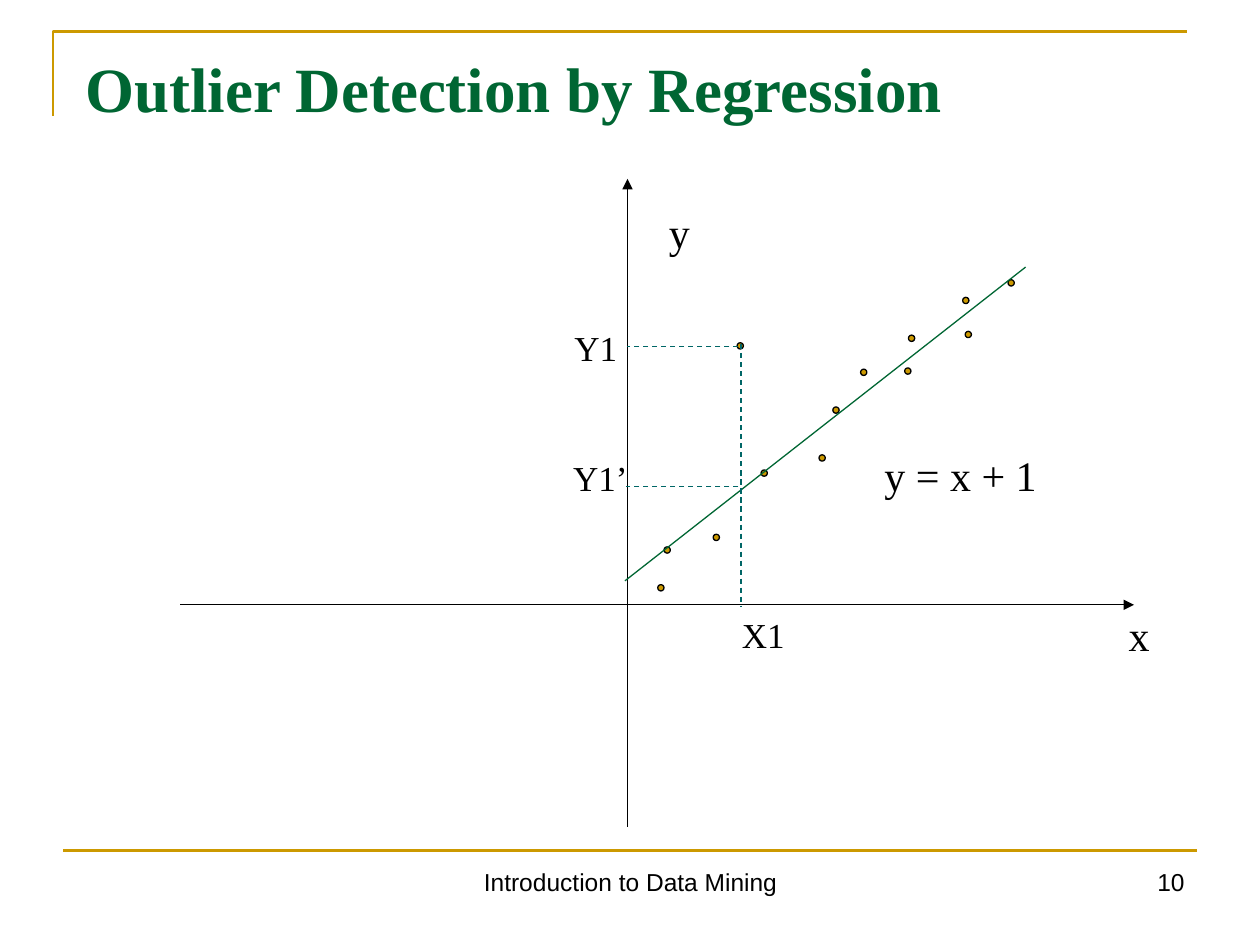
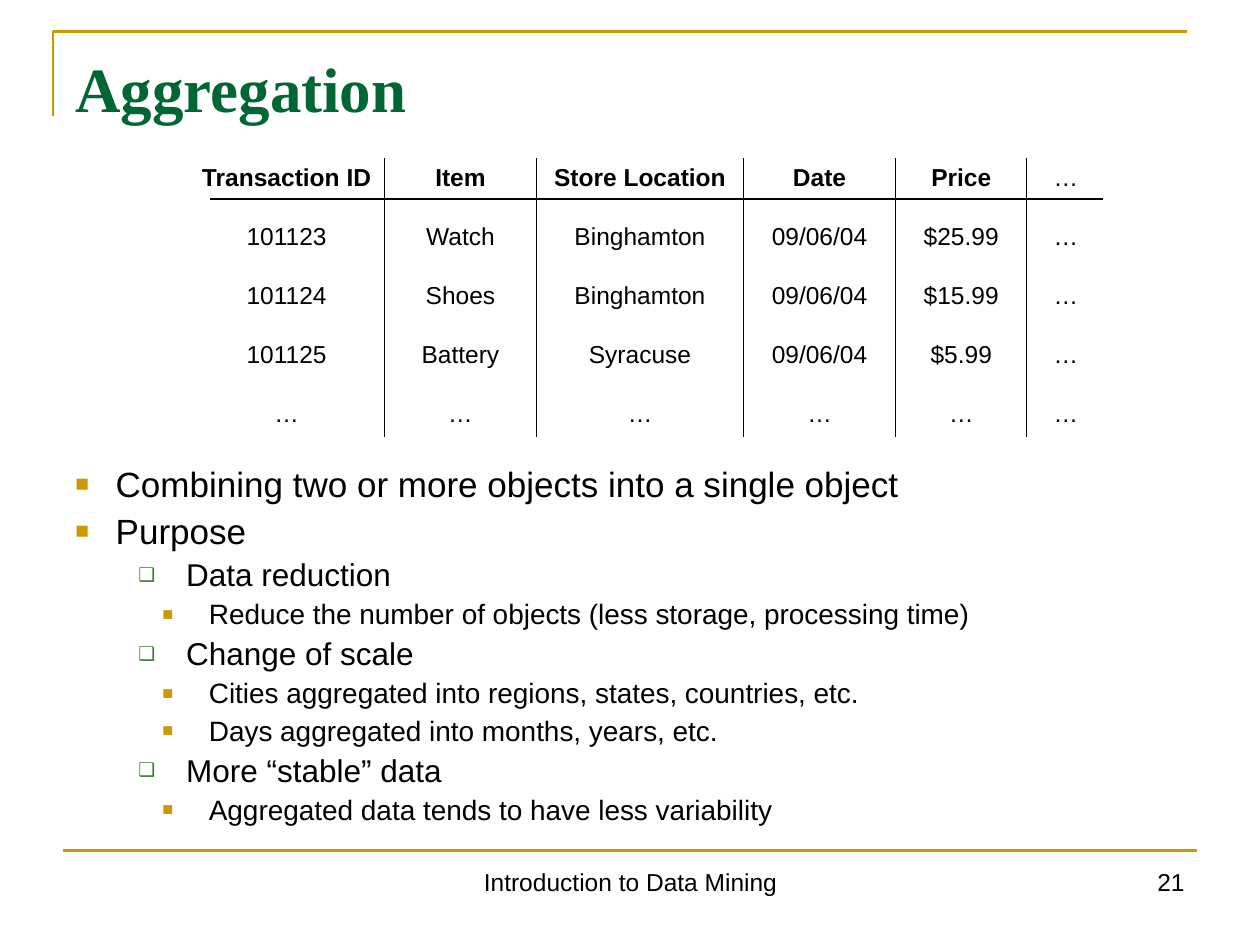
"""Builds two data mining slides: a regression sketch and an aggregation table."""
from lxml import etree
from pptx import Presentation
from pptx.dml.color import RGBColor
from pptx.enum.dml import MSO_LINE
from pptx.enum.shapes import MSO_CONNECTOR, MSO_SHAPE
from pptx.enum.text import MSO_ANCHOR, PP_ALIGN
from pptx.oxml.ns import qn
from pptx.util import Inches, Pt

LEFT, MID, RIGHT = PP_ALIGN.LEFT, PP_ALIGN.CENTER, PP_ALIGN.RIGHT
TOP, CENTER = MSO_ANCHOR.TOP, MSO_ANCHOR.MIDDLE
STRAIGHT, OVAL, DASH = MSO_CONNECTOR.STRAIGHT, MSO_SHAPE.OVAL, MSO_LINE.DASH
SANS, SERIF = "Arial", "Times New Roman"
HUES = {"gold": "CC9900", "green": "006633", "teal": "006666",
        "leaf": "3B812F", "black": "000000"}

FOOTER = "Introduction to Data Mining"

AXES = [(1.43, 4.8, 9, 4.8), (4.98, 6.56, 4.98, 1.42)]
TREND = (4.96, 4.61, 8.14, 2.12)
GUIDES = [(5.88, 2.73, 5.88, 4.82), (5.86, 2.75, 4.98, 2.75),
          (5.86, 3.86, 4.97, 3.86)]
DOT = 0.05
DOTS = [(5.22, 4.64), (5.27, 4.34), (5.66, 4.24), (5.85, 2.72), (6.04, 3.73),
        (6.5, 3.61), (6.61, 3.23), (6.83, 2.93), (7.18, 2.92), (7.21, 2.66),
        (7.64, 2.36), (7.66, 2.63), (8, 2.22)]
LABELS = [
    ("x", 24, (8.86, 4.79, 0.36, 0.5)),
    ("y", 24, (5.21, 1.59, 0.36, 0.5)),
    ("y = x + 1", 24, (6.92, 3.52, 1.41, 0.5)),
    ("X1", 20, (5.79, 4.82, 0.54, 0.44)),
    ("Y1", 20, (4.46, 2.54, 0.54, 0.44)),
    ("Y1’", 20, (4.45, 3.57, 0.63, 0.44)),
]

SALES = [
    ("Transaction ID", "Item", "Store Location", "Date", "Price", "…"),
    ("101123", "Watch", "Binghamton", "09/06/04", "$25.99", "…"),
    ("101124", "Shoes", "Binghamton", "09/06/04", "$15.99", "…"),
    ("101125", "Battery", "Syracuse", "09/06/04", "$5.99", "…"),
    ("…", "…", "…", "…", "…", "…"),
]
COLS = [1.55, 1.21, 1.64, 1.21, 1.04, 0.52]
ROWS = [0.47, 0.47, 0.47, 0.47, 0.34]
RULE = (1.67, 1.58, 8.75, 1.58)

POINTS = [
    (0, "Combining two or more objects into a single object"),
    (0, "Purpose"),
    (1, "Data reduction"),
    (2, "Reduce the number of objects (less storage, processing time)"),
    (1, "Change of scale"),
    (2, "Cities aggregated into regions, states, countries, etc."),
    (2, "Days aggregated into months, years, etc."),
    (1, "More “stable” data"),
    (2, "Aggregated data tends to have less variability"),
]
LEVELS = [
    {"size": 20, "gap": 5, "left": 0.32, "hang": 0.32,
     "mark": "■", "hue": "gold", "scale": 65},
    {"size": 18, "gap": 4.5, "left": 0.88, "hang": 0.38,
     "mark": "❑", "hue": "leaf", "scale": 60},
    {"size": 16, "gap": 4, "left": 1.06, "hang": 0.37,
     "mark": "■", "hue": "gold", "scale": 65},
]


def color(hue):
    return RGBColor.from_string(HUES[hue])


def box(nums):
    return [Inches(n) for n in nums]


def node(up, tag, **atts):
    return etree.SubElement(up, qn(tag), {k: str(v) for k, v in atts.items()})


def style(para, size, face=SANS, hue="black", bold=False):
    font = para.font
    font.size, font.name, font.bold = Pt(size), face, bold
    font.color.rgb = color(hue)


def pen(line, hue, width):
    line.color.rgb = color(hue)
    line.width = Pt(width)


def draw_line(slide, ends, hue="black", width=0.75, dash=False, arrow=False):
    link = slide.shapes.add_connector(STRAIGHT, *box(ends))
    pen(link.line, hue, width)
    if dash:
        link.line.dash_style = DASH
    if arrow:
        node(link.line._get_or_add_ln(), "a:tailEnd", type="triangle")
    node(link._element.spPr, "a:effectLst")


def add_text(slide, text, place, size, face=SANS, hue="black", bold=False,
             align=LEFT, anchor=TOP, wrap=True):
    frame = slide.shapes.add_textbox(*box(place)).text_frame
    frame.word_wrap, frame.vertical_anchor = wrap, anchor
    para = frame.paragraphs[0]
    para.text, para.alignment = text, align
    style(para, size, face, hue, bold)


def add_base(deck, title, left, page):
    slide = deck.slides.add_slide(deck.slide_layouts[6])
    path = slide.shapes.build_freeform(*box((0.42, 0.92)))
    path.add_line_segments([box((0.42, 0.25)), box((9.42, 0.25))], close=False)
    frame = path.convert_to_shape()
    frame.fill.background()
    frame.shadow.inherit = False
    pen(frame.line, "gold", 1.5)
    draw_line(slide, (0.5, 6.75, 9.5, 6.75), "gold", 1.5)
    add_text(slide, FOOTER, (3.42, 6.83, 3.17, 0.52), 14, align=MID)
    add_text(slide, page, (7.17, 6.83, 2.33, 0.52), 14, align=RIGHT)
    add_text(slide, title, (left, 0.3, 10 - 2 * left, 0.78), 36, SERIF,
             "green", True, anchor=CENTER)
    return slide


def add_plot(slide):
    for ends in AXES:
        draw_line(slide, ends, arrow=True)
    for x, y in DOTS:
        dot = slide.shapes.add_shape(OVAL, *box((x, y, DOT, DOT)))
        dot.shadow.inherit = False
        dot.fill.solid()
        dot.fill.fore_color.rgb = color("gold")
        pen(dot.line, "black", 0.75)
    draw_line(slide, TREND, "green")
    for ends in GUIDES:
        draw_line(slide, ends, "teal", dash=True)
    for text, size, place in LABELS:
        add_text(slide, text, place, size, SERIF, wrap=False)


def add_edges(cell, sides):
    props = cell._tc.get_or_add_tcPr()
    for side in "LRTB":
        edge = node(props, f"a:ln{side}", w=Pt(0.45))
        if side in sides:
            fill = node(edge, "a:solidFill")
            node(fill, "a:srgbClr", val=HUES["black"])
        else:
            node(edge, "a:noFill")


def add_sales(slide):
    last = len(COLS) - 1
    place = box((1.5, 1.25, sum(COLS), sum(ROWS)))
    table = slide.shapes.add_table(len(ROWS), len(COLS), *place).table
    table.first_row = table.horz_banding = False
    for col, width in zip(table.columns, COLS):
        col.width = Inches(width)
    for r, (row, high) in enumerate(zip(SALES, ROWS)):
        table.rows[r].height = Inches(high)
        for c, text in enumerate(row):
            cell = table.cell(r, c)
            add_edges(cell, ("L" if c else "") + ("R" if c < last else ""))
            cell.fill.background()
            cell.margin_left = Inches(0.15 if c == last else 0.05)
            cell.margin_right = Inches(0.05)
            para = cell.text_frame.paragraphs[0]
            para.text, para.alignment = text, MID
            style(para, 14, bold=r == 0 and c < last)
    draw_line(slide, RULE, width=1)


def add_points(slide):
    frame = slide.shapes.add_textbox(*box((0.5, 3.66, 9, 3.05))).text_frame
    frame.word_wrap = True
    for i, (depth, text) in enumerate(POINTS):
        para = frame.add_paragraph() if i else frame.paragraphs[0]
        look = LEVELS[depth]
        para.text, para.level, para.line_spacing = text, depth, 0.9
        para.space_before = Pt(look["gap"] if i else 0)
        props = para._p.get_or_add_pPr()
        props.set("marL", str(Inches(look["left"])))
        props.set("indent", str(-Inches(look["hang"])))
        node(node(props, "a:buClr"), "a:srgbClr", val=HUES[look["hue"]])
        node(props, "a:buSzPct", val=look["scale"] * 1000)
        node(props, "a:buFont", typeface=SANS)
        node(props, "a:buChar", char=look["mark"])
        style(para, look["size"])


def main():
    deck = Presentation()
    deck.slide_width, deck.slide_height = box((10, 7.5))
    add_plot(add_base(deck, "Outlier Detection by Regression", 0.58, "10"))
    slide = add_base(deck, "Aggregation", 0.5, "21")
    add_points(slide)
    add_sales(slide)
    deck.save("out.pptx")


if __name__ == "__main__":
    main()
